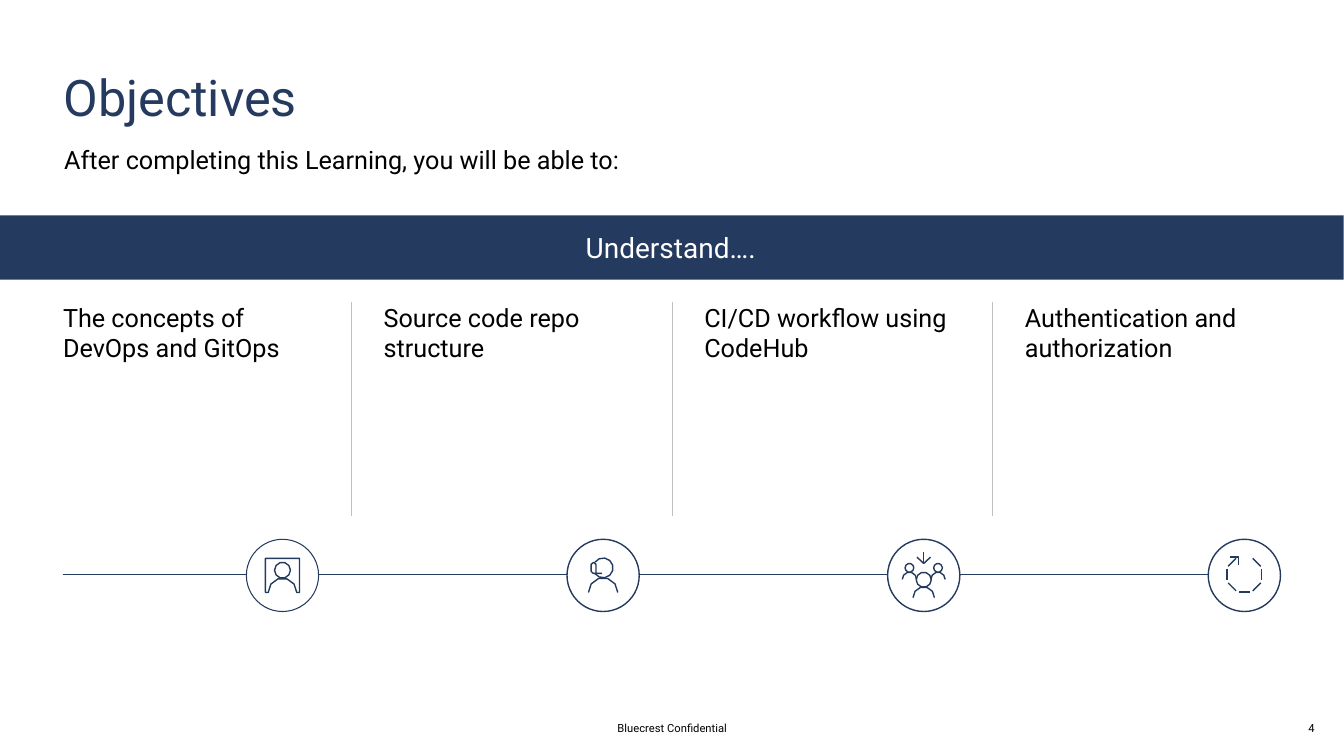
import math

import pptx
import pptx.util
import pptx.dml.color
import pptx.enum.shapes
import pptx.enum.text
import pptx.oxml
import pptx.oxml.ns

Cm = pptx.util.Cm
Pt = pptx.util.Pt
RGBColor = pptx.dml.color.RGBColor
MSO_SHAPE = pptx.enum.shapes.MSO_SHAPE
PP_ALIGN = pptx.enum.text.PP_ALIGN
MSO_ANCHOR = pptx.enum.text.MSO_ANCHOR

COLORS = {"navy": "243A5E", "black": "000000", "white": "FFFFFF", "divider": "BFBFBF"}
COLORS = {name: RGBColor.from_string(value) for name, value in COLORS.items()}

presentation = pptx.Presentation()
presentation.slide_width = Cm(33.87)
presentation.slide_height = Cm(19.05)
slide = presentation.slides.add_slide(presentation.slide_layouts[6])


def write(shape, text, size, color, align=PP_ALIGN.LEFT, anchor=MSO_ANCHOR.TOP):
    frame = shape.text_frame
    frame.word_wrap = True
    frame.vertical_anchor = anchor
    frame.margin_left = frame.margin_right = frame.margin_top = frame.margin_bottom = 0
    paragraph = frame.paragraphs[0]
    paragraph.text = text
    paragraph.alignment = align
    paragraph.font.name = "Roboto"
    paragraph.font.size = Pt(size)
    paragraph.font.color.rgb = COLORS[color]


def arc(center_x, center_y, radius, start=0, end=360):
    steps = math.ceil(abs(end - start) / 36)
    angles = [math.radians(start + (end - start) * step / steps) for step in range(steps + 1)]
    return [(center_x + radius * math.cos(a), center_y + radius * math.sin(a)) for a in angles]


title = slide.shapes.add_textbox(Cm(1.6), Cm(1.66), Cm(30.6), Cm(1.55))
write(title, "Objectives", 36, "navy")
subtitle = slide.shapes.add_textbox(Cm(1.62), Cm(3.63), Cm(30.6), Cm(0.76))
write(subtitle, "After completing this Learning, you will be able to:", 18, "black")

band = slide.shapes.add_shape(MSO_SHAPE.RECTANGLE, Cm(-0.05), Cm(5.43), Cm(33.91), Cm(1.62))
band.shadow.inherit = False
band.fill.solid()
band.fill.fore_color.rgb = COLORS["navy"]
band.line.fill.background()
write(band, "Understand….", 20, "white", PP_ALIGN.CENTER, MSO_ANCHOR.MIDDLE)

COLUMN_PITCH = 8.08
CIRCLE_X, CIRCLE_Y, CIRCLE_RADIUS = 7.12, 14.5, 0.91

lines = [(1.58, 14.48, 32.23, 14.48, "navy", 1)]
for index in range(3):
    divider_x = 8.86 + index * COLUMN_PITCH
    lines.append((divider_x, 7.62, divider_x, 13, "divider", 0.5))
for x1, y1, x2, y2, color, width in lines:
    connector = slide.shapes.add_connector(
        pptx.enum.shapes.MSO_CONNECTOR.STRAIGHT, Cm(x1), Cm(y1), Cm(x2), Cm(y2))
    connector.line.color.rgb = COLORS[color]
    connector.line.width = Pt(width)
    properties = connector._element.spPr
    properties.append(pptx.oxml.parse_xml(f"<a:effectLst {pptx.oxml.ns.nsdecls('a')}/>"))

portrait_icon = [
    arc(0, -0.13, 0.2),
    arc(0, 0.43, 0.36, 180, 360)
    + [(0.43, 0.43), (0.43, -0.43), (-0.43, -0.43), (-0.43, 0.43), (-0.36, 0.43)],
]
headset_icon = [
    arc(0, -0.19, 0.25, 145, -145),
    arc(0, 0.43, 0.37, 180, 360),
    [(-0.18, -0.05), (-0.18, -0.28), (-0.24, -0.33), (-0.3, -0.28),
     (-0.3, -0.1), (-0.25, -0.05), (-0.03, -0.05)],
]
team_icon = [
    arc(0, 0.11, 0.19),
    arc(0, 0.56, 0.27, 180, 360),
    [(0, -0.58), (0, -0.3)],
    [(-0.17, -0.46), (0, -0.3), (0.17, -0.46)],
]
for side_x in (-0.36, 0.36):
    team_icon += [arc(side_x, -0.19, 0.11), arc(side_x, 0.1, 0.18, 180, 360)]
cycle_icon = [arc(0, -0.02, 0.46, start, start + 36) for start in range(-63, 252, 45)]
cycle_icon.append([(-0.15, -0.25), (-0.15, -0.46), (-0.36, -0.46)])

objectives = [
    ("The concepts of DevOps and GitOps", portrait_icon, 0.75),
    ("Source code repo structure", headset_icon, 1),
    ("CI/CD workflow using CodeHub", team_icon, 1),
    ("Authentication and authorization", cycle_icon, 1),
]
for index, (objective, strokes, outline) in enumerate(objectives):
    offset = index * COLUMN_PITCH
    center_x = CIRCLE_X + offset
    label = slide.shapes.add_textbox(Cm(1.59 + offset), Cm(7.62), Cm(6.43), Cm(1.55))
    write(label, objective, 18, "black")

    circle = slide.shapes.add_shape(
        MSO_SHAPE.OVAL, Cm(center_x - CIRCLE_RADIUS), Cm(CIRCLE_Y - CIRCLE_RADIUS),
        Cm(2 * CIRCLE_RADIUS), Cm(2 * CIRCLE_RADIUS))
    circle.fill.solid()
    circle.fill.fore_color.rgb = COLORS["white"]

    contours = [[(Cm(center_x + x), Cm(CIRCLE_Y + y)) for x, y in stroke] for stroke in strokes]
    builder = slide.shapes.build_freeform(*contours[0][0])
    builder.add_line_segments(contours[0][1:], close=False)
    for contour in contours[1:]:
        builder.move_to(*contour[0])
        builder.add_line_segments(contour[1:], close=False)
    icon = builder.convert_to_shape()
    icon.fill.background()

    for shape, width in ((circle, outline), (icon, 1)):
        shape.shadow.inherit = False
        shape.line.color.rgb = COLORS["navy"]
        shape.line.width = Pt(width)

for text, left, width in (("Bluecrest Confidential", 11.23, 11.43), ("4", 32.49, 1.12)):
    footer = slide.shapes.add_textbox(Cm(left), Cm(18.18), Cm(width), Cm(0.33))
    write(footer, text, 8, "black", PP_ALIGN.CENTER, MSO_ANCHOR.MIDDLE)

presentation.save("out.pptx")
